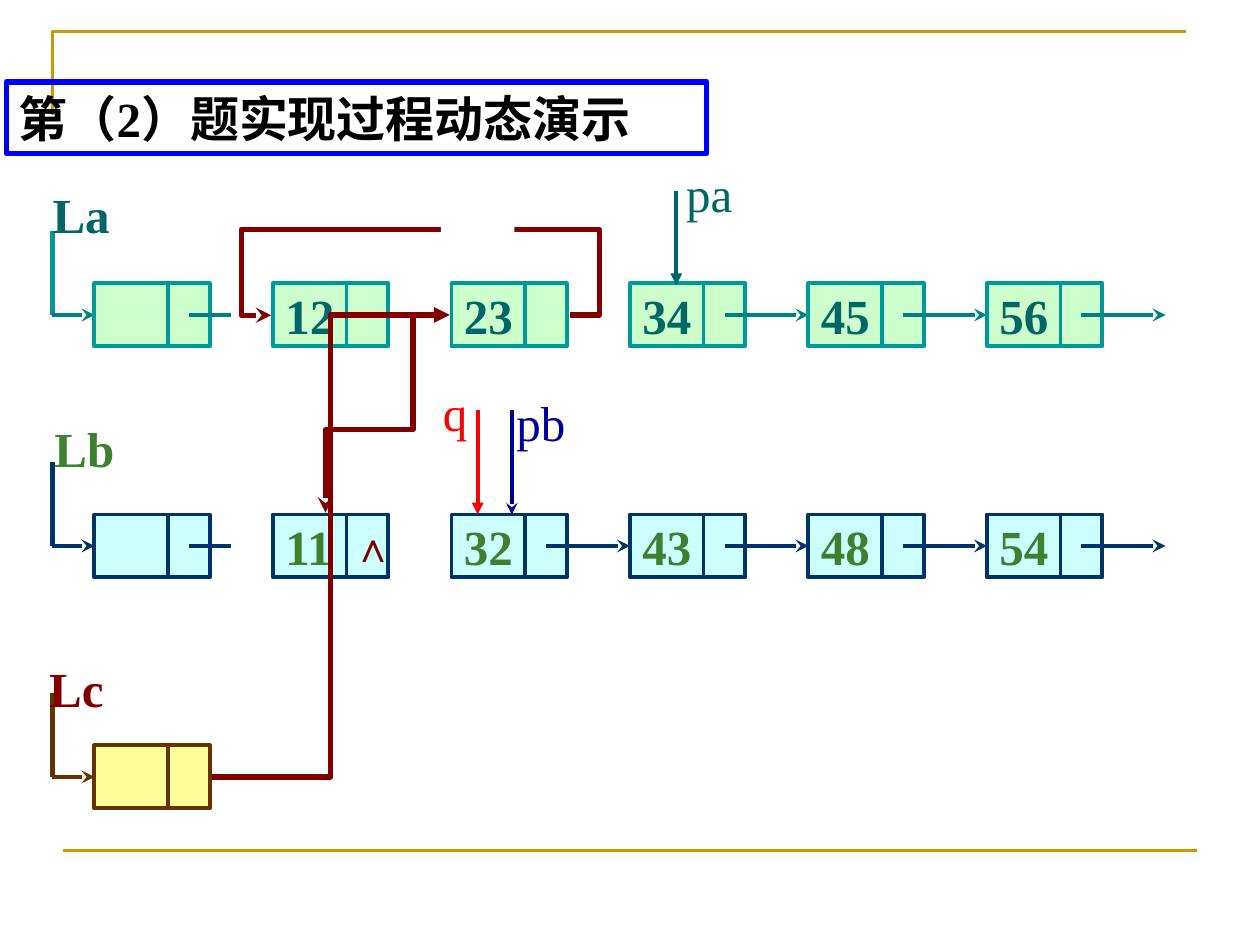
from dataclasses import dataclass

from pptx import Presentation
from pptx.dml.color import RGBColor as RGB
from pptx.enum.shapes import MSO_CONNECTOR as LINK, MSO_SHAPE as SHAPE
from pptx.enum.text import MSO_ANCHOR as ANCHOR, PP_ALIGN as ALIGN
from pptx.oxml.ns import qn
from pptx.util import Pt
from lxml.etree import SubElement as sub


@dataclass(frozen=True)
class Theme:
    """Colours, fonts and sizes of the slide."""
    gold: str = "CC9900"
    blue: str = "0000FF"
    navy: str = "000099"
    teal: str = "006666"
    green: str = "3B812F"
    maroon: str = "800000"
    red: str = "FF0000"
    black: str = "000000"
    white: str = "FFFFFF"
    list_a: tuple = ("CCFFCC", "009999", "008080")
    list_b: tuple = ("CCFFFF", "003366", "003366")
    list_c: tuple = ("FFFF99", "663300", "663300")
    latin: str = "Times New Roman"
    asian: str = "Noto Sans CJK SC"
    big: int = 28
    small: int = 24


T = Theme()
LEFT, STEP, WIDE, HIGH, SPLIT, TAIL = 54, 102, 66, 36, 42, 54


def rgb(code):
    """Turn a hex code into a colour."""
    return RGB.from_string(code)


def add_run(para, text, color, size=T.big, bold=True, face=T.latin):
    """Append one formatted run to a paragraph."""
    run = para.add_run()
    run.text = text
    font = run.font
    font.size, font.bold, font.name = Pt(size), bold, face
    font.color.rgb = rgb(color)
    return run


def add_line(slide, start, end, color, width=2.5, head=None, kind=LINK.STRAIGHT):
    """Draw a connector, with an arrowhead if one is named."""
    link = slide.shapes.add_connector(kind, *map(Pt, start + end))
    link.line.color.rgb = rgb(color)
    link.line.width = Pt(width)
    props = link.element.spPr
    if head:
        sub(props.find(qn("a:ln")), qn("a:tailEnd"), type=head)
    sub(props, qn("a:effectLst"))
    return link


def add_bent(slide, start, end, bends, head):
    """Draw an elbow arrow whose bends are given as shares of its box."""
    link = add_line(slide, start, end, T.maroon, 3, head, LINK.ELBOW)
    geom = link.element.spPr.find(qn("a:prstGeom"))
    geom.set("prst", f"bentConnector{len(bends) + 2}")
    guides = geom.find(qn("a:avLst"))
    for num, bend in enumerate(bends, 1):
        sub(guides, qn("a:gd"), name=f"adj{num}", fmla=f"val {round(bend * 100000)}")


def add_box(slide, x, y, wide, high, fill, edge=None):
    """Draw a filled rectangle, with a border if a colour is given."""
    box = slide.shapes.add_shape(SHAPE.RECTANGLE, *map(Pt, (x, y, wide, high)))
    box.shadow.inherit = False
    box.fill.solid()
    box.fill.fore_color.rgb = rgb(fill)
    if edge:
        box.line.color.rgb = rgb(edge)
        box.line.width = Pt(2.25)
    else:
        box.line.fill.background()
    return box


def add_label(slide, x, y, text, color, size=T.big, bold=True):
    """Place a short text."""
    frame = slide.shapes.add_textbox(*map(Pt, (x, y, 49, 41))).text_frame
    frame.word_wrap = True
    add_run(frame.paragraphs[0], text, color, size, bold)


def add_node(slide, x, y, tints, text, ink, reach, head):
    """Draw a list node and its outgoing pointer."""
    fill, edge, wire = tints
    box = add_box(slide, x, y, WIDE, HIGH, fill, edge)
    if text:
        frame = box.text_frame
        frame.vertical_anchor = ANCHOR.MIDDLE
        frame.paragraphs[0].alignment = ALIGN.LEFT
        add_run(frame.paragraphs[0], text, ink)
    add_line(slide, (x + SPLIT, y), (x + SPLIT, y + HIGH), edge, 2.25)
    if reach:
        mid = y + HIGH / 2
        add_line(slide, (x + TAIL, mid), (x + TAIL + reach, mid), wire, head=head)


def add_list(slide, y, tints, texts, ink, reaches):
    """Draw a linked list with the line that leads into it."""
    mid = y + HIGH / 2
    add_line(slide, (30, y - 30), (30, mid), tints[1])
    add_line(slide, (30, mid), (LEFT, mid), tints[2], head="stealth")
    for spot, (text, reach) in enumerate(zip(texts, reaches)):
        head = "stealth" if spot else None
        add_node(slide, LEFT + spot * STEP, y, tints, text, ink, reach, head)


def add_frame(slide):
    """Draw the gold corner and the rule at the foot."""
    pen = slide.shapes.build_freeform(Pt(30), Pt(66))
    pen.add_line_segments([(Pt(30), Pt(18)), (Pt(678), Pt(18))], close=False)
    edge = pen.convert_to_shape()
    edge.shadow.inherit = False
    edge.fill.background()
    edge.line.color.rgb = rgb(T.gold)
    edge.line.width = Pt(1.5)
    add_line(slide, (36, 486), (684, 486), T.gold, 1.5)


def add_title(slide):
    """Format the title and bring it to the front."""
    title = slide.shapes.title
    title.left, title.top, title.width, title.height = map(Pt, (3.6, 46.8, 400.3, 41))
    title.line.color.rgb = rgb(T.blue)
    title.line.width = Pt(3)
    frame = title.text_frame
    frame.vertical_anchor = ANCHOR.MIDDLE
    para = frame.paragraphs[0]
    para.alignment = ALIGN.LEFT
    for text, face in (("第", T.asian), ("（2）", T.latin), ("题实现过程动态演示", T.asian)):
        run = add_run(para, text, T.black, face=face)
        sub(run.font.fill._xPr, qn("a:ea"), typeface=T.asian)
    slide.shapes._spTree.append(title.element)


def main():
    """Build the slide and save it."""
    deck = Presentation()
    deck.slide_width, deck.slide_height = Pt(720), Pt(540)
    slide = deck.slides.add_slide(deck.slide_layouts[5])
    add_frame(slide)
    add_list(slide, 162, T.list_a, ("", "12", "23", "34", "45", "56"), T.teal,
             (24, 0, 0, 48, 48, 48))
    add_list(slide, 294, T.list_b, ("", "11", "32", "43", "48", "54"), T.green,
             (24, 0, 48, 48, 48, 48))
    add_list(slide, 426, T.list_c, ("",), T.maroon, (0,))

    for x, y, text, color in ((23, 102, "La", T.teal), (24, 235.5, "Lb", T.green),
                              (21, 373, "Lc", T.maroon)):
        add_label(slide, x, y, text, color)
    add_label(slide, 194.5, 294, "∧", T.maroon, T.small)

    add_bent(slide, (220.5, 180), (186, 293), (-0.45, 0.58), "stealth")
    add_bent(slide, (121, 444), (257, 180), (0.5,), "triangle")
    add_bent(slide, (325.5, 180), (155, 180.17), (-0.1, -288, 1.1), "stealth")
    add_box(slide, 252, 96, 42, 64, T.white)

    for x, top, foot, color, head, text, left, high in (
            (386.5, 109, 163, T.teal, "triangle", "pa", 385, 90),
            (273, 234, 294, T.red, "triangle", "q", 246, 215),
            (292.5, 234, 294, T.navy, "stealth", "pb", 288, 221)):
        add_line(slide, (x, top), (x, foot), color, 2.25, head)
        add_label(slide, left, high, text, color, bold=False)
    add_title(slide)
    deck.save("out.pptx")


if __name__ == "__main__":
    main()
